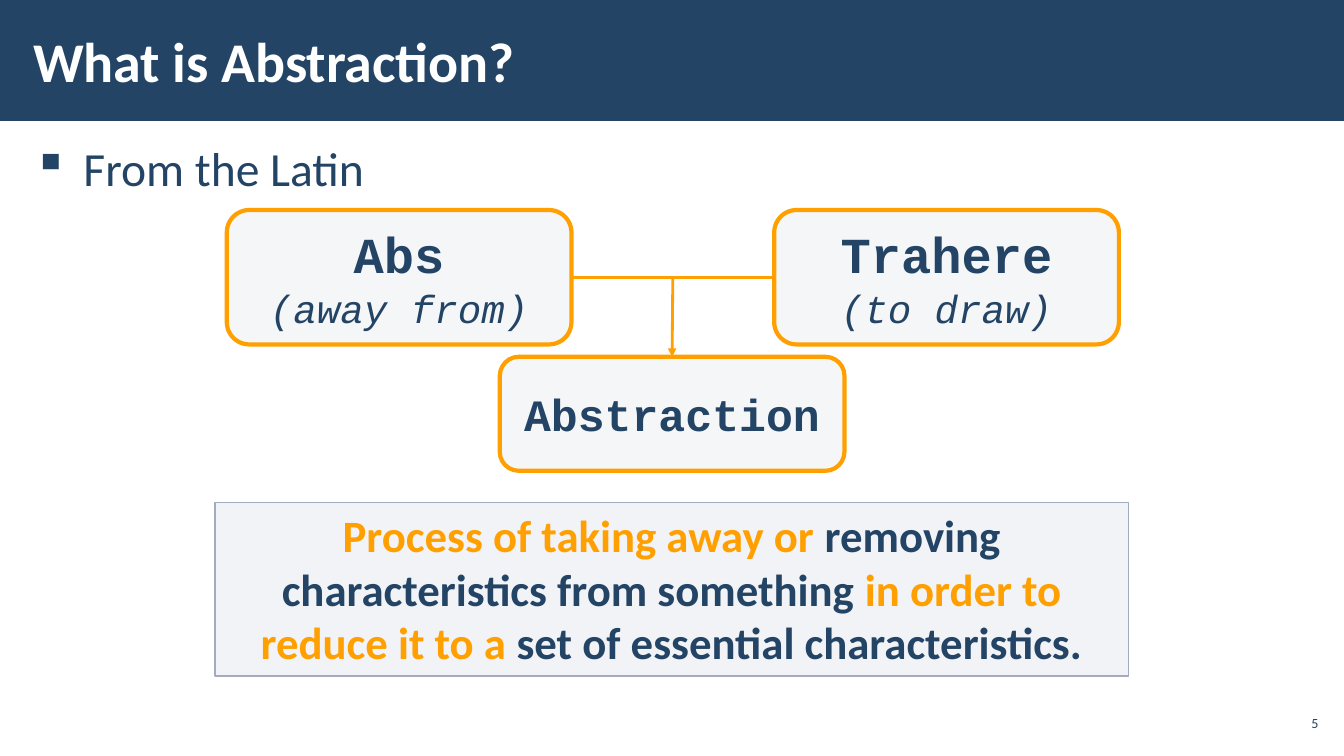
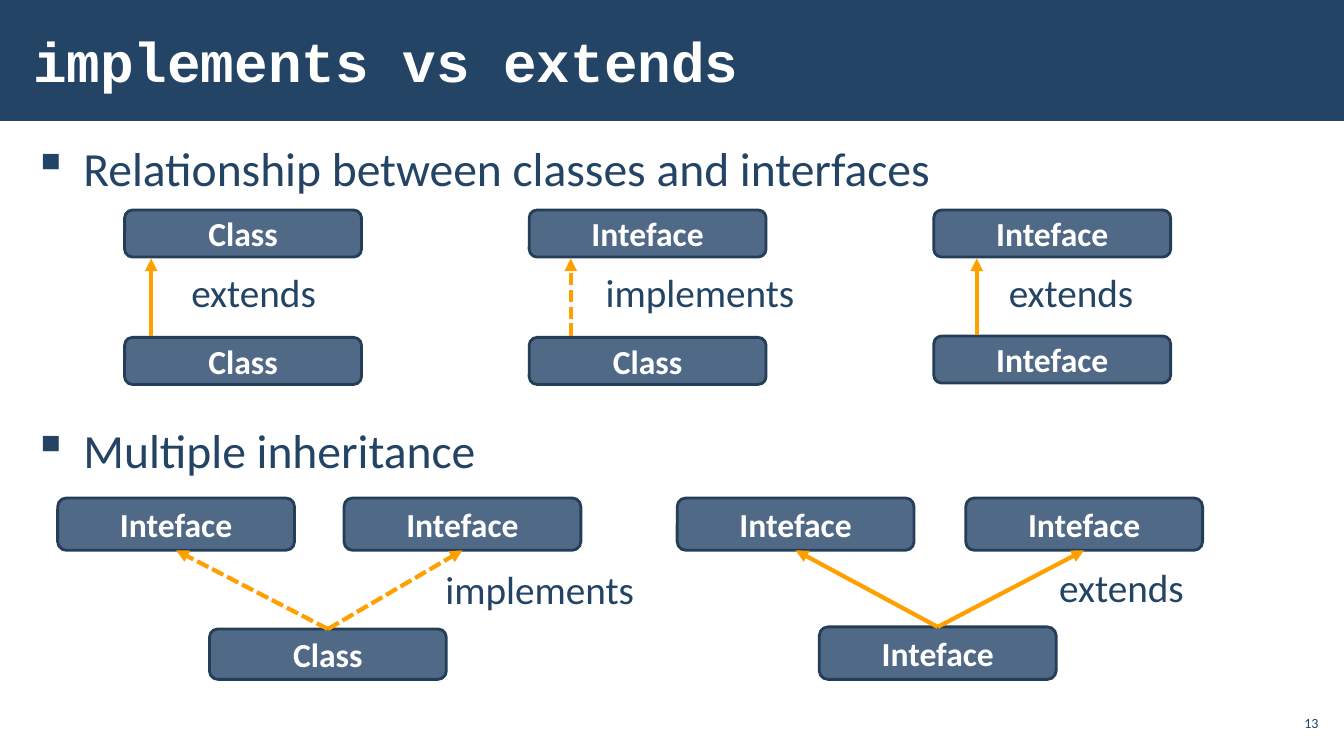
from dataclasses import dataclass

from lxml import etree
from pptx import Presentation
from pptx.dml.color import RGBColor
from pptx.enum.dml import MSO_LINE
from pptx.enum.shapes import MSO_CONNECTOR, MSO_SHAPE as Preset
from pptx.enum.text import MSO_ANCHOR as Anchor, PP_ALIGN as Align
from pptx.oxml.ns import qn
from pptx.util import Pt

NAVY = RGBColor(0x23, 0x44, 0x65)
WHITE = RGBColor(0xFF, 0xFF, 0xFF)
ORANGE = RGBColor(0xFF, 0xA0, 0x00)
SLATE = RGBColor(0x4F, 0x69, 0x87)
SLATE_EDGE = RGBColor(0x25, 0x3E, 0x57)
MIST = RGBColor(0xC2, 0xC7, 0xD2)
MIST_EDGE = RGBColor(0xA3, 0xAB, 0xBC)

BODY_FONT = "Calibri"
CODE_FONT = "Courier New"
DEFAULT_INSETS = (7.2, 3.6)
WIDE_INSETS = (8.64, 2.88)
SLIDE_WIDTH, SLIDE_HEIGHT = 960, 540
TYPE_WIDTH = 169.2
LABEL_WIDTHS = {"extends": 104.4, "implements": 150.5}


@dataclass(frozen=True)
class Box:
    left: float
    top: float
    width: float
    height: float

    @property
    def center(self):
        return self.left + self.width / 2

    @property
    def middle(self):
        return self.top + self.height / 2

    @property
    def right(self):
        return self.left + self.width

    @property
    def bottom(self):
        return self.top + self.height

    def lengths(self):
        return Pt(self.left), Pt(self.top), Pt(self.width), Pt(self.height)


@dataclass(frozen=True)
class Run:
    text: str
    size: float
    color: RGBColor = NAVY
    font: str = BODY_FONT
    bold: bool = False
    italic: bool = False


@dataclass(frozen=True)
class Relation:
    parent: str
    child: str
    verb: str
    child_top: float
    arrow_left: float
    label_left: float


@dataclass(frozen=True)
class Fan:
    parent_lefts: tuple
    child: str
    child_left: float
    child_top: float
    verb: str
    label_left: float
    label_top: float


def write(shape, lines, align=Align.LEFT, anchor=Anchor.TOP, insets=DEFAULT_INSETS, wrap=True):
    frame = shape.text_frame
    frame.word_wrap = wrap
    frame.vertical_anchor = anchor
    frame.margin_left = frame.margin_right = Pt(insets[0])
    frame.margin_top = frame.margin_bottom = Pt(insets[1])
    for index, line in enumerate(lines):
        paragraph = frame.add_paragraph() if index else frame.paragraphs[0]
        paragraph.alignment = align
        for item in line:
            run = paragraph.add_run()
            run.text = item.text
            run.font.name = item.font
            run.font.size = Pt(item.size)
            run.font.bold = item.bold
            run.font.italic = item.italic
            run.font.color.rgb = item.color
    return frame


def add_text(slide, box: Box, *runs: Run, **text_format):
    return write(slide.shapes.add_textbox(*box.lengths()), [runs], **text_format)


def add_panel(slide, preset, box: Box, fill, edge=None, edge_width=0, opacity=100):
    shape = slide.shapes.add_shape(preset, *box.lengths())
    shape.shadow.inherit = False
    shape.fill.solid()
    shape.fill.fore_color.rgb = fill
    if opacity < 100:
        color = shape.fill._xPr.find(f".//{qn('a:srgbClr')}")
        etree.SubElement(color, qn("a:alpha"), val=str(opacity * 1000))
    if edge is None:
        shape.line.fill.background()
    else:
        shape.line.color.rgb = edge
        shape.line.width = Pt(edge_width)
    return shape


def add_line(slide, start, end, width=3, dashed=False, arrow=True):
    points = [Pt(value) for value in (*start, *end)]
    connector = slide.shapes.add_connector(MSO_CONNECTOR.STRAIGHT, *points)
    connector.line.color.rgb = ORANGE
    connector.line.width = Pt(width)
    if dashed:
        connector.line.dash_style = MSO_LINE.SQUARE_DOT
    properties = connector._element.spPr
    if arrow:
        etree.SubElement(properties.find(qn("a:ln")), qn("a:tailEnd"), type="triangle")
    etree.SubElement(properties, qn("a:effectLst"))


def add_bullet(slide, text: str, top: float):
    frame = add_text(slide, Box(15, top, 930, 50), Run(text, 34), insets=WIDE_INSETS)
    paragraph = frame.paragraphs[0]
    properties = paragraph._p.get_or_add_pPr()
    properties.set("marL", str(Pt(36)))
    properties.set("indent", str(-Pt(36)))
    etree.SubElement(properties, qn("a:buChar"), char="▪")
    paragraph.line_spacing = 1.05


def add_base_slide(presentation, title: str, number: int, title_font=BODY_FONT):
    slide = presentation.slides.add_slide(presentation.slide_layouts[6])
    add_panel(slide, Preset.RECTANGLE, Box(0, 0, SLIDE_WIDTH, 86.4), NAVY)
    add_text(slide, Box(15, 8, 748, 70), Run(title, 40, WHITE, title_font, bold=True),
             anchor=Anchor.MIDDLE, insets=WIDE_INSETS)
    add_text(slide, Box(911, 504, 33.6, 24.5), Run(str(number), 10),
             align=Align.RIGHT, anchor=Anchor.MIDDLE, insets=(2.88, 2.88))
    return slide


def add_term(slide, box: Box, term: str, size: float, meaning: str = ""):
    lines = [[Run(term, size, font=CODE_FONT, bold=True)]]
    if meaning:
        lines.append([Run(meaning, 28, font=CODE_FONT, italic=True)])
    shape = add_panel(slide, Preset.ROUNDED_RECTANGLE, box, MIST, ORANGE, 3, opacity=15)
    write(shape, lines, align=Align.CENTER, anchor=Anchor.MIDDLE, wrap=False)


def add_type(slide, name: str, left: float, top: float, height: float) -> Box:
    box = Box(left, top, TYPE_WIDTH, height)
    shape = add_panel(slide, Preset.ROUNDED_RECTANGLE, box, SLATE, SLATE_EDGE, 2)
    write(shape, [[Run(name, 24, WHITE, bold=True)]], align=Align.CENTER, anchor=Anchor.MIDDLE)
    return box


def add_label(slide, verb: str, left: float, top: float):
    add_text(slide, Box(left, top, LABEL_WIDTHS[verb], 41), Run(verb, 28), wrap=False)


def add_relation(slide, relation: Relation, left: float):
    parent = add_type(slide, relation.parent, left, 150, 33.6)
    child = add_type(slide, relation.child, left, relation.child_top, 33.6)
    add_line(slide, (relation.arrow_left, child.top - 1), (relation.arrow_left, parent.bottom + 1),
             dashed=relation.verb == "implements")
    add_label(slide, relation.verb, relation.label_left, 188)


def add_fan(slide, fan: Fan):
    parents = [add_type(slide, "Inteface", left, 355.7, 37.4) for left in fan.parent_lefts]
    child = add_type(slide, fan.child, fan.child_left, fan.child_top, 485.3 - fan.child_top)
    for parent in parents:
        add_line(slide, (child.center, child.top), (parent.center, parent.bottom),
                 dashed=fan.verb == "implements")
    add_label(slide, fan.verb, fan.label_left, fan.label_top)


def build_abstraction(presentation):
    slide = add_base_slide(presentation, "What is Abstraction?", 5)
    add_bullet(slide, "From the Latin", 94.3)
    prefix = Box(162, 150, 246.2, 96)
    verb = Box(553, 150, 246.2, 96)
    result = Box(357, 254.9, 246.2, 81.4)
    add_term(slide, prefix, "Abs", 36, "(away from)")
    add_term(slide, verb, "Trahere", 36, "(to draw)")
    add_term(slide, result, "Abstraction", 32)
    add_line(slide, (prefix.right, prefix.middle), (verb.left, verb.middle), width=2, arrow=False)
    add_line(slide, ((prefix.right + verb.left) / 2, prefix.middle), (result.center, result.top), width=2)

    definition = add_panel(slide, Preset.RECTANGLE, Box(153.5, 359, 652.5, 124), MIST, MIST_EDGE, 1, opacity=20)
    phrases = [
        ("Process of taking away or ", ORANGE),
        ("removing characteristics from something ", NAVY),
        ("in order to reduce it to a ", ORANGE),
        ("set of essential characteristics.", NAVY),
    ]
    write(definition, [[Run(text, 32, color, bold=True) for text, color in phrases]], align=Align.CENTER)


def build_inheritance(presentation):
    slide = add_base_slide(presentation, "implements vs extends", 13, CODE_FONT)
    add_bullet(slide, "Relationship between classes and interfaces", 94.3)
    add_bullet(slide, "Multiple inheritance", 295.7)
    relations = [
        Relation("Class", "Class", "extends", 241, 108, 129.6),
        Relation("Inteface", "Class", "implements", 241, 407.7, 425.5),
        Relation("Inteface", "Inteface", "extends", 240, 697.7, 713.5),
    ]
    for column, relation in enumerate(relations):
        add_relation(slide, relation, 89 + column * 289)
    fans = [
        Fan((41.2, 245.7), "Class", 149.6, 449.3, "implements", 311, 400.3),
        Fan((483.7, 689.8), "Inteface", 585.2, 447.8, "extends", 749.5, 398.9),
    ]
    for fan in fans:
        add_fan(slide, fan)


def main():
    presentation = Presentation()
    presentation.slide_width = Pt(SLIDE_WIDTH)
    presentation.slide_height = Pt(SLIDE_HEIGHT)
    build_abstraction(presentation)
    build_inheritance(presentation)
    presentation.save("out.pptx")


if __name__ == "__main__":
    main()
